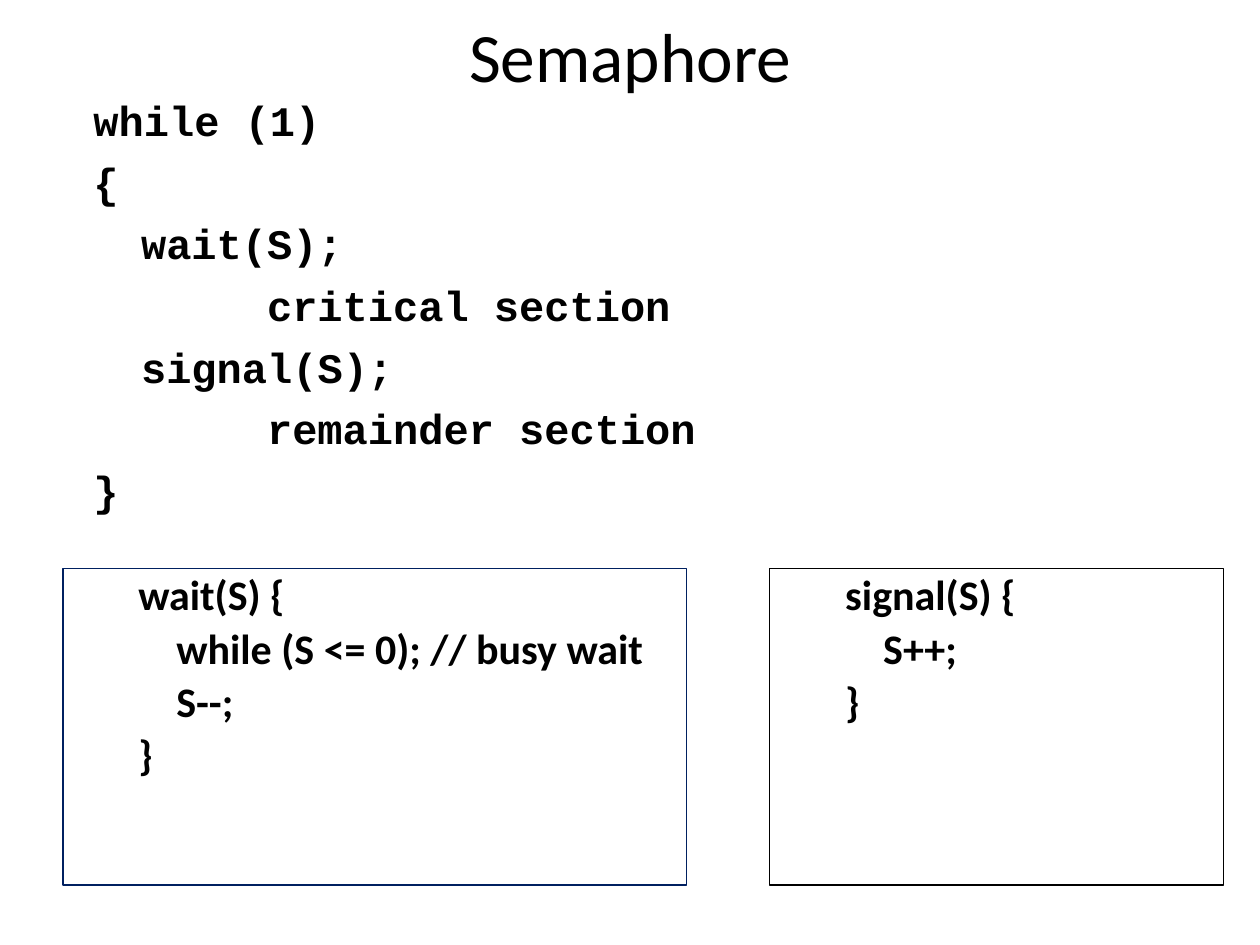
from lxml.etree import SubElement
from pptx import Presentation
from pptx.dml.color import RGBColor
from pptx.enum.shapes import MSO_SHAPE
from pptx.enum.text import MSO_ANCHOR, MSO_AUTO_SIZE, PP_ALIGN
from pptx.oxml.ns import qn
from pptx.util import Cm, Pt

BLACK = RGBColor(0x00, 0x00, 0x00)
NAVY = RGBColor(0x00, 0x20, 0x60)

# Content
TITLE = "Semaphore"
LOOP_CODE = [  # (left margin in cm, line)
    (0, "while (1)"),
    (0, "{"),
    (0.96, "wait(S);"),
    (3.5, "critical section"),
    (0.96, "signal(S);"),
    (3.5, "remainder section"),
    (0, "}"),
]
DEFINITIONS = [  # (left and width in cm, outline, lines)
    (1.27, 12.57, NAVY,
     ["wait(S) {", "    while (S <= 0); // busy wait", "    S--;", "}"]),
    (15.52, 9.14, BLACK, ["signal(S) {", "    S++;", "}"]),
]
BOX_TOP, BOX_HEIGHT = Cm(11.46), Cm(6.38)
BOX_MARGIN = 1.27


def place(shape, left, top, width, height):
    shape.left, shape.top = Cm(left), Cm(top)
    shape.width, shape.height = Cm(width), Cm(height)


def add_run(p, text, font, size, bold):
    r = p.add_run()
    r.text = text
    r.font.name, r.font.size, r.font.bold = font, Pt(size), bold
    r.font.color.rgb = BLACK


def write_code(tf, lines, font, space, line_spacing):
    """Write (margin, text) lines as unbulleted bold code."""
    tf.word_wrap = True
    tf.vertical_anchor = MSO_ANCHOR.TOP
    for i, (margin, text) in enumerate(lines):
        p = tf.add_paragraph() if i else tf.paragraphs[0]
        p.alignment = PP_ALIGN.LEFT
        p.line_spacing = line_spacing
        p.space_before = Pt(space if i else 0)
        pPr = p._p.get_or_add_pPr()
        pPr.set("marL", str(Cm(margin)))
        pPr.set("indent", "0")
        SubElement(pPr, qn("a:buNone"))
        add_run(p, text, font, 24, True)


prs = Presentation()
prs.slide_width, prs.slide_height = Cm(25.4), Cm(19.05)
s = prs.slides.add_slide(prs.slide_layouts[1])

# Title
title = s.shapes.title
place(title, 1.27, 0.3, 22.86, 1.6)
title.text_frame.vertical_anchor = MSO_ANCHOR.MIDDLE
title.text_frame.auto_size = MSO_AUTO_SIZE.NONE
p = title.text_frame.paragraphs[0]
p.alignment = PP_ALIGN.CENTER
add_run(p, TITLE, "Calibri", 39.6, False)

# Loop that uses the semaphore
body = s.placeholders[1]
place(body, 1.63, 1.78, 22.45, 8.66)
body.text_frame.auto_size = MSO_AUTO_SIZE.NONE
write_code(body.text_frame, LOOP_CODE, "Courier New", 6.4, 1.0)

# Definitions of wait and signal
for left, width, outline, lines in DEFINITIONS:
    sp = s.shapes.add_shape(MSO_SHAPE.RECTANGLE, Cm(left), BOX_TOP,
                            Cm(width), BOX_HEIGHT)
    sp.shadow.inherit = False
    sp.fill.background()
    sp.line.color.rgb = outline
    sp.line.width = Pt(0.75)
    write_code(sp.text_frame, [(BOX_MARGIN, line) for line in lines],
               "Calibri", 4.5, 0.9)

prs.save("out.pptx")
